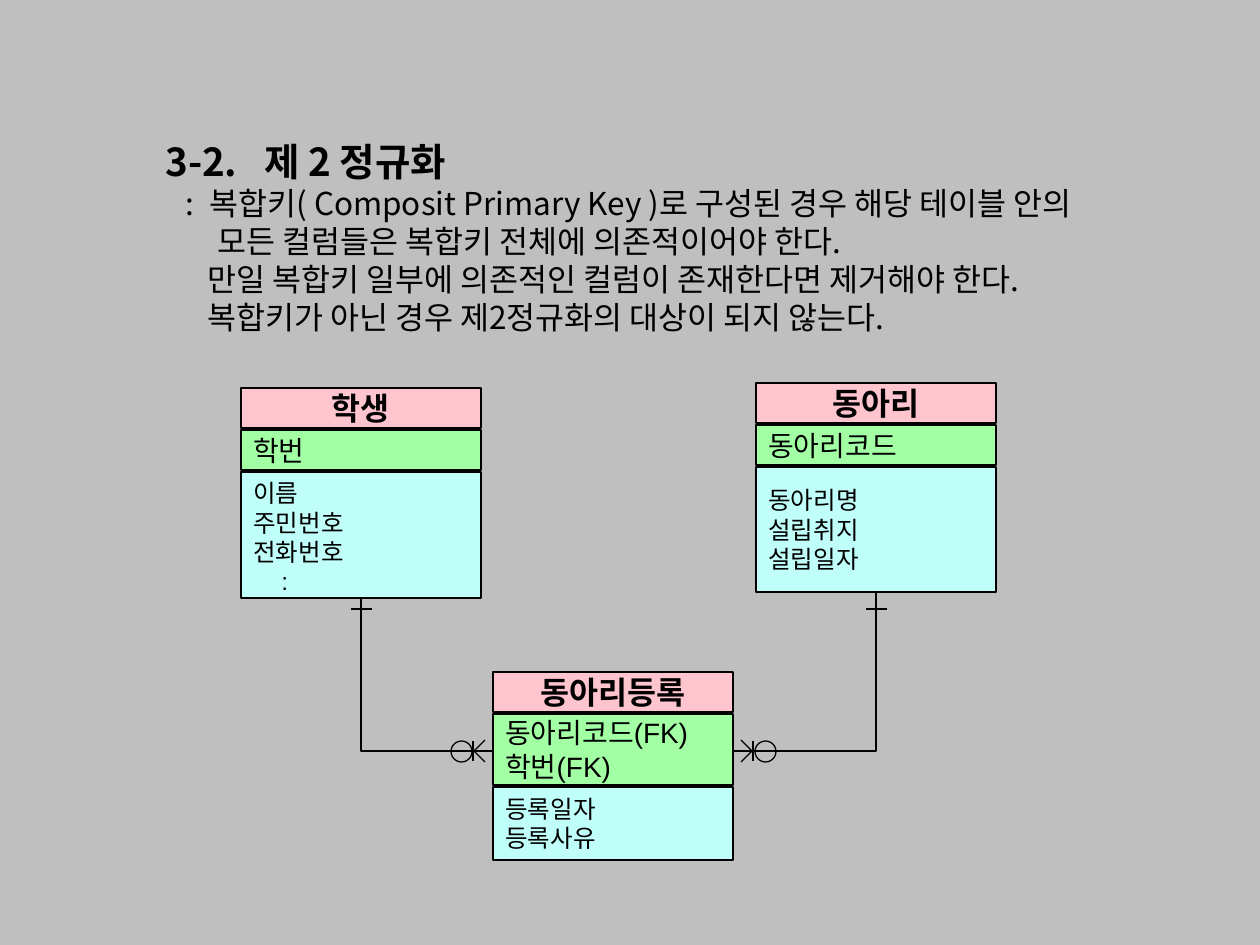
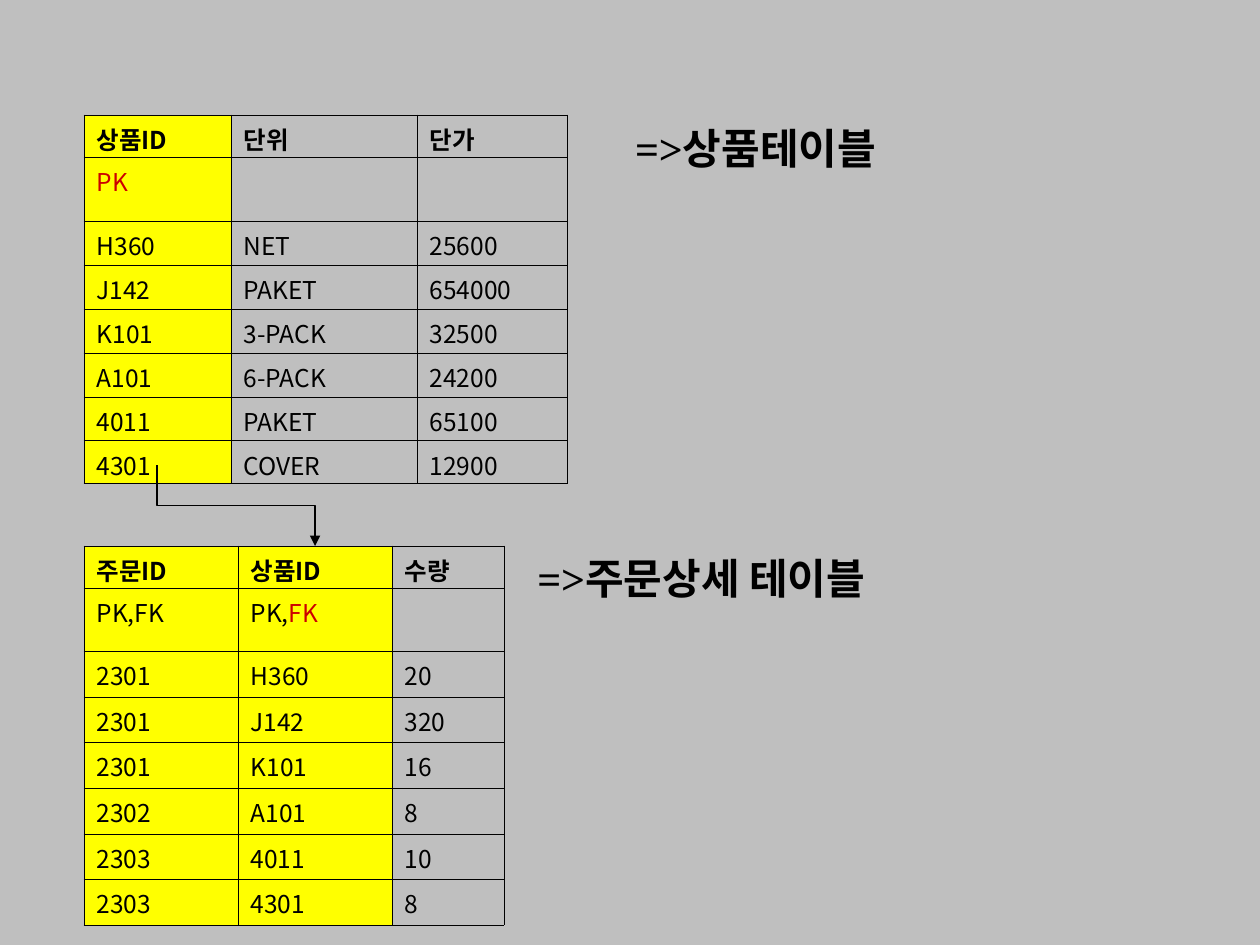
from lxml import etree
from pptx import Presentation
from pptx import util as u
from pptx.dml.color import RGBColor
from pptx.enum import shapes, text
from pptx.oxml.ns import qn

BLACK = RGBColor(0x00, 0x00, 0x00)
GREY = RGBColor(0xBF, 0xBF, 0xBF)
PINK = RGBColor(0xFF, 0xC5, 0xCF)
GREEN = RGBColor(0xA2, 0xFF, 0xA3)
AQUA = RGBColor(0xC0, 0xFE, 0xF9)
GOLD = RGBColor(0xFF, 0xFF, 0x00)
RED = RGBColor(0xCC, 0x00, 0x00)

NOTO = "Noto Sans CJK KR"
ARIAL = "Arial"
TIMES = "Times New Roman"

LEFT = text.PP_ALIGN.LEFT
MID = text.PP_ALIGN.CENTER
TOP = text.MSO_ANCHOR.TOP
CORE = text.MSO_ANCHOR.MIDDLE

SCALE = 914400 / 126


def px(n):
    return u.Emu(round(n * SCALE))


class Deck:
    def __init__(self):
        self.prs = Presentation()
        self.prs.slide_width = px(1260)
        self.prs.slide_height = px(945)

    def page(self):
        self.slide = self.prs.slides.add_slide(self.prs.slide_layouts[6])
        self.slide.background.fill.solid()
        self.slide.background.fill.fore_color.rgb = GREY

    def run(self, para, words, size, font, bold=False, color=BLACK):
        run = para.add_run()
        run.text = words
        run.font.size = u.Pt(size)
        run.font.name = font
        run.font.bold = bold
        run.font.color.rgb = color
        props = run.font._element
        etree.SubElement(props, qn("a:ea")).set("typeface", NOTO)

    def lines(self, frame, rows, size, font, bold=False, align=LEFT):
        for i, row in enumerate(rows):
            para = frame.paragraphs[0] if i == 0 else frame.add_paragraph()
            para.alignment = align
            self.run(para, row, size, font, bold)

    def indent(self, para, left, first):
        props = para._p.get_or_add_pPr()
        props.set("marL", str(px(left)))
        props.set("indent", str(px(first - left)))

    def label(self, x, y, w, h, rows=(), size=24, font=TIMES, bold=True,
              align=LEFT, anchor=CORE):
        frame = self.slide.shapes.add_textbox(px(x), px(y), px(w), px(h)).text_frame
        frame.word_wrap = True
        frame.vertical_anchor = anchor
        self.lines(frame, rows, size, font, bold, align)
        return frame

    def shape(self, kind, x, y, w, h, fill=None, width=1):
        shape = self.slide.shapes.add_shape(kind, px(x), px(y), px(w), px(h))
        shape.shadow.inherit = False
        if fill is None:
            shape.fill.background()
        else:
            shape.fill.solid()
            shape.fill.fore_color.rgb = fill
        shape.line.color.rgb = BLACK
        shape.line.width = u.Pt(width)
        return shape

    def box(self, x, y, w, h, fill, rows, size, bold=False, align=LEFT, anchor=CORE):
        shape = self.shape(shapes.MSO_SHAPE.RECTANGLE, x, y, w, h, fill)
        frame = shape.text_frame
        frame.word_wrap = True
        frame.vertical_anchor = anchor
        self.lines(frame, rows, size, ARIAL, bold, align)
        return frame

    def entity(self, x, y, name, keys, key_h, cols, col_h, anchor=CORE):
        self.box(x, y, 240, 40, PINK, [name], 18, True, MID)
        self.box(x, y + 42, 240, key_h, GREEN, keys, 16)
        return self.box(x, y + 44 + key_h, 240, col_h, AQUA, cols, 14, anchor=anchor)

    def line(self, x1, y1, x2, y2, kind=shapes.MSO_CONNECTOR.STRAIGHT):
        line = self.slide.shapes.add_connector(kind, px(x1), px(y1), px(x2), px(y2))
        line.line.color.rgb = BLACK
        line.line.width = u.Pt(0.75)
        etree.SubElement(line._element.spPr, qn("a:effectLst"))
        return line

    def bend(self, x1, y1, x2, y2):
        line = self.line(x1, y1, x2, y2, shapes.MSO_CONNECTOR.ELBOW)
        line._element.spPr.find(qn("a:prstGeom")).set("prst", "bentConnector2")

    def step(self, x1, y1, x2, y2):
        mx, my = (x1 + x2) / 2, (y1 + y2) / 2
        dx, dy = (x2 - x1) / 2, (y2 - y1) / 2
        line = self.line(mx + dy, my - dx, mx - dy, my + dx,
                         shapes.MSO_CONNECTOR.ELBOW)
        line.rotation = 270
        tail = etree.SubElement(line.line._get_or_add_ln(), qn("a:tailEnd"))
        tail.set("type", "triangle")

    def one(self, x, y):
        self.line(x - 10, y, x + 11, y)

    def many(self, x, y, side):
        self.line(x + side * 20, y - 10, x + side * 20, y + 10)
        for rise in (-11, 11):
            self.line(x + side * 19, y, x + side * 8, y + rise)
        self.shape(shapes.MSO_SHAPE.OVAL, x + side * 32 - 10, y - 10, 21, 21, width=0.75)

    def edge(self, cell):
        props = cell._tc.get_or_add_tcPr()
        for side in ("lnL", "lnR", "lnT", "lnB"):
            line = etree.SubElement(props, qn("a:" + side), w=str(u.Pt(0.45)))
            fill = etree.SubElement(line, qn("a:solidFill"))
            etree.SubElement(fill, qn("a:srgbClr"), val=str(BLACK))

    def table(self, x, y, wide, high, rows, keys):
        grid = self.slide.shapes.add_table(
            len(rows), len(wide), px(x), px(y), px(sum(wide)), px(sum(high))).table
        grid.first_row = grid.horz_banding = False
        for col, w in zip(grid.columns, wide):
            col.width = px(w)
        for row, h in zip(grid.rows, high):
            row.height = px(h)
        for r, row in enumerate(rows):
            for c, item in enumerate(row):
                cell = grid.cell(r, c)
                self.edge(cell)
                if c < keys:
                    cell.fill.solid()
                    cell.fill.fore_color.rgb = GOLD
                else:
                    cell.fill.background()
                parts = [(item, BLACK)] if isinstance(item, str) else item
                for words, color in parts:
                    if words:
                        self.run(cell.text_frame.paragraphs[0], words, 14, NOTO,
                                 r == 0, color)


def rules(deck):
    deck.page()
    frame = deck.label(118, 132, 1079, 248, anchor=TOP)
    notes = [
        ("3-2.\t제 2 정규화", 22, 134, 35),
        (":\t복합키( Composit Primary Key )로 구성된 경우 해당 테이블 안의", 18, 79, 55),
        ("모든 컬럼들은 복합키 전체에 의존적이어야 한다.", 18, 87, 87),
        ("만일 복합키 일부에 의존적인 컬럼이 존재한다면 제거해야 한다.", 18, 77, 77),
        ("복합키가 아닌 경우 제2정규화의 대상이 되지 않는다.", 18, 77, 77),
    ]
    for i, (words, size, left, first) in enumerate(notes):
        para = frame.paragraphs[0] if i == 0 else frame.add_paragraph()
        deck.indent(para, left, first)
        deck.run(para, words, size, NOTO, i == 0)

    pupil = deck.entity(241, 388, "학생", ["학번"], 40,
                        ["이름", "주민번호", "전화번호", ":"], 126, TOP)
    deck.indent(pupil.paragraphs[-1], 28, 28)
    deck.entity(756, 383, "동아리", ["동아리코드"], 40,
                ["동아리명", "설립취지", "설립일자"], 125)
    deck.entity(493, 672, "동아리등록", ["동아리코드(FK)", "학번(FK)"], 71,
                ["등록일자", "등록사유"], 73)

    for mid, foot, side, join in ((361, 598, -1, 493), (876, 592, 1, 733)):
        deck.bend(join, 751, mid, foot)
        deck.one(mid, 609)
        deck.many(join, 751, side)


def tables(deck):
    deck.page()
    deck.label(525, 546, 504, 63, ["=>주문상세 테이블"])
    deck.table(84, 546, [154, 154, 112], [42, 63] + [46, 45, 46] * 2, [
        ["주문ID", "상품ID", "수량"],
        ["PK,FK", [("PK,", BLACK), ("FK", RED)], ""],
        ["2301", "H360", "20"],
        ["2301", "J142", "320"],
        ["2301", "K101", "16"],
        ["2302", "A101", "8"],
        ["2303", "4011", "10"],
        ["2303", "4301", "8"],
    ], 2)
    deck.table(84, 115, [147, 186, 150], [42, 64] + [44] * 5 + [43], [
        ["상품ID", "단위", "단가"],
        [[("PK", RED)], "", ""],
        ["H360", "NET", "25600"],
        ["J142", "PAKET", "654000"],
        ["K101", "3-PACK", "32500"],
        ["A101", "6-PACK", "24200"],
        ["4011", "PAKET", "65100"],
        ["4301", "COVER", "12900"],
    ], 1)
    deck.label(577, 116, 357, 63, ["=>상품테이블"], align=MID)
    deck.step(157, 465, 315, 546)


def main():
    deck = Deck()
    rules(deck)
    tables(deck)
    deck.prs.save("out.pptx")


if __name__ == "__main__":
    main()
